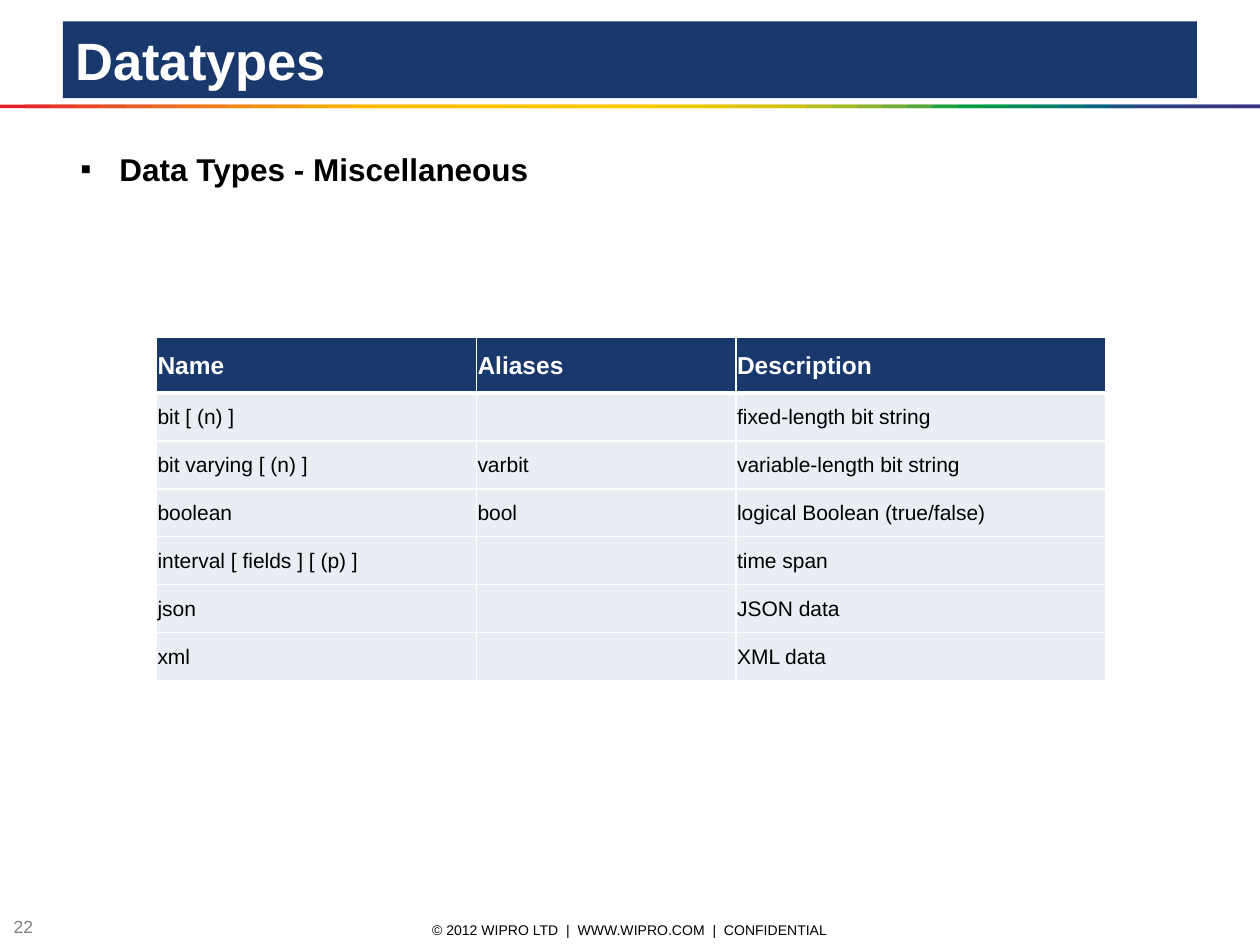
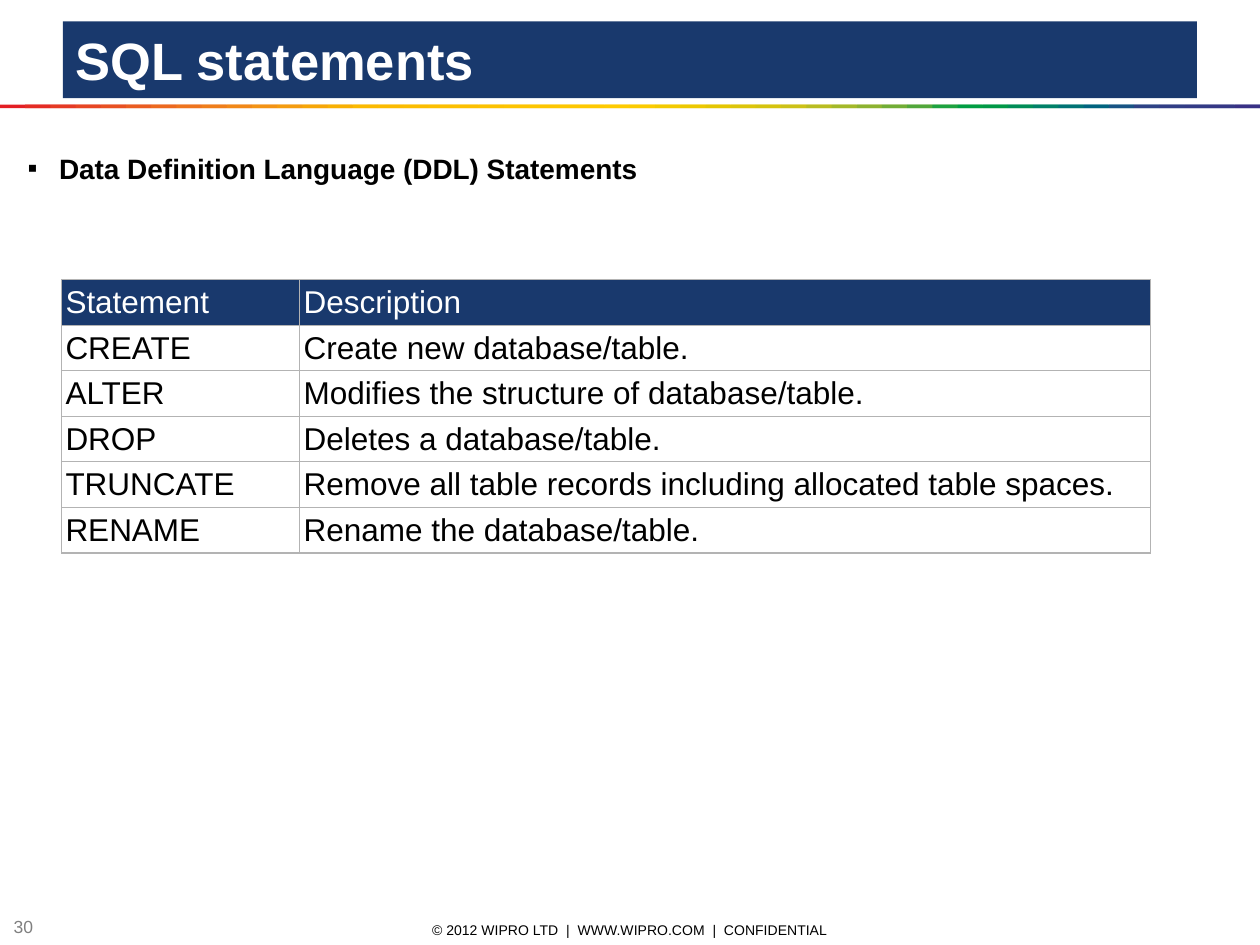
from dataclasses import dataclass

import pptx
import pptx.dml.color
import pptx.enum.shapes
import pptx.enum.text
import pptx.oxml
import pptx.oxml.ns
import pptx.util
from pptx.util import Inches

ANCHOR = pptx.enum.text.MSO_ANCHOR
ALIGN = pptx.enum.text.PP_ALIGN
RECT = pptx.enum.shapes.MSO_SHAPE.RECTANGLE


@dataclass(frozen=True)
class Theme:
    font: str = "Arial"
    navy: str = "19396D"
    white: str = "FFFFFF"
    black: str = "000000"
    grey: str = "808080"
    pale_blue: str = "E9EDF4"
    grid_grey: str = "B3B3B3"
    title_size: int = 30
    heading_size: int = 18
    subheading_size: int = 16
    number_size: int = 10
    footer_size: int = 8
    spectrum: tuple = tuple("""
        E31E24 E42C24 E53A24 E74623 E85122 EA5D21 EC691F EE741D EF7E1A F18817
        F39314 F49C0F F6A607 F8B002 FBBA00 FBBB00 FBBD00 FCBF00 FCC000 FCC200
        FDC400 FDC600 FDC700 FEC900 FECB00 FBCB00 F3CA00 ECC800 E4C602 DCC50A
        D5C30E CCC117 B8BC21 A3B829 8CB230 71AD36 51A73B 1DA240 009D43 009846
        008C57 008068 007275 00637F 185384 2E4285 313E85 333B85 353885 393185
        """.split())


FOOTER = "© 2012 WIPRO LTD  |  WWW.WIPRO.COM  |  CONFIDENTIAL"


def rgb(color):
    return pptx.dml.color.RGBColor.from_string(color)


def xml(markup):
    return pptx.oxml.parse_xml(markup.replace(" ", f" {pptx.oxml.ns.nsdecls('a')} ", 1))


def write(tf, text, *, font, size, color, bold=False, align=ALIGN.LEFT,
          anchor=ANCHOR.TOP, bullet_indent=None):
    """Fill a text frame with one formatted paragraph."""
    tf.word_wrap = True
    tf.vertical_anchor = anchor
    p = tf.paragraphs[0]
    p.alignment = align
    if bullet_indent:
        pPr = p._p.get_or_add_pPr()
        pPr.set("marL", str(bullet_indent))
        pPr.set("indent", str(-bullet_indent))
        pPr.append(xml(f'<a:buFont typeface="{font}"/>'))
        pPr.append(xml('<a:buChar char="▪"/>'))
    if text:
        r = p.add_run()
        r.text = text
        r.font.name, r.font.size, r.font.bold = font, pptx.util.Pt(size), bold
        r.font.color.rgb = rgb(color)


def set_borders(cell, color, widths):
    """Draw the left, right, top and bottom borders, with widths in points."""
    tcPr = cell._tc.get_or_add_tcPr()
    for i, (side, width) in enumerate(zip("LRTB", widths)):
        tcPr.insert(i, xml(
            f'<a:ln{side} w="{pptx.util.Pt(width)}"><a:solidFill>'
            f'<a:srgbClr val="{color}"/></a:solidFill></a:ln{side}>'))


class Deck:
    def __init__(self, theme):
        self.theme = theme
        self.prs = pptx.Presentation()
        self.prs.slide_width, self.prs.slide_height = Inches(10), Inches(7.5)
        self.s = None

    def add_slide(self, title, number):
        t = self.theme
        self.s = self.prs.slides.add_slide(self.prs.slide_layouts[6])
        self.text(FOOTER, 3.3, 7.28, 3.4, 0.2, size=t.footer_size,
                  align=ALIGN.CENTER, anchor=ANCHOR.MIDDLE)
        self.text(str(number), 0.01, 7.27, 0.39, 0.16, size=t.number_size,
                  color=t.grey, anchor=ANCHOR.MIDDLE)
        self.spectrum_line()
        band = self.rect(self.s.shapes, 0.5, 0.17, 9, 0.61, t.navy)
        write(band.text_frame, title, font=t.font, size=t.title_size,
              color=t.white, bold=True, anchor=ANCHOR.MIDDLE)

    def rect(self, shapes, x, y, w, h, fill):
        sp = shapes.add_shape(RECT, Inches(x), Inches(y), Inches(w), Inches(h))
        sp.shadow.inherit = False
        sp.fill.solid()
        sp.fill.fore_color.rgb = rgb(fill)
        sp.line.fill.background()
        return sp

    def spectrum_line(self):
        """Overlapping rectangles, so that no seam shows between the colours."""
        group = self.s.shapes.add_group_shape()
        step = 10 / len(self.theme.spectrum)
        for i, color in enumerate(self.theme.spectrum):
            x = i * step
            self.rect(group.shapes, x, 0.83, min(2 * step, 10 - x), 0.03, color)

    def text(self, text, x, y, w, h, *, color=None, **style):
        sp = self.s.shapes.add_textbox(Inches(x), Inches(y), Inches(w), Inches(h))
        write(sp.text_frame, text, font=self.theme.font,
              color=color or self.theme.black, **style)

    def bullet(self, text, x, y, w, h, *, size, indent):
        self.text(text, x, y, w, h, size=size, bold=True, bullet_indent=Inches(indent))

    def table(self, rows, x, y, col_widths, row_heights, *, size, header_size,
              header_bold, body_fill, border, border_width, header_rule, insets):
        """Table with a navy header; insets are left, top, right and bottom."""
        t = self.theme
        tbl = self.s.shapes.add_table(
            len(rows), len(col_widths), Inches(x), Inches(y),
            Inches(sum(col_widths)), Inches(sum(row_heights))).table
        tbl.horz_banding = False
        for col, width in zip(tbl.columns, col_widths):
            col.width = Inches(width)
        for i, (row, height) in enumerate(zip(rows, row_heights)):
            tbl.rows[i].height = Inches(height)
            header = i == 0
            top = header_rule if i == 1 else border_width
            bottom = header_rule if header else border_width
            for j, text in enumerate(row):
                cell = tbl.cell(i, j)
                (cell.margin_left, cell.margin_top, cell.margin_right,
                 cell.margin_bottom) = map(Inches, insets)
                cell.fill.solid()
                cell.fill.fore_color.rgb = rgb(t.navy if header else body_fill)
                set_borders(cell, border, (border_width, border_width, top, bottom))
                write(cell.text_frame, text, font=t.font,
                      size=header_size if header else size,
                      color=t.white if header else t.black,
                      bold=header and header_bold)
                cell.vertical_anchor = ANCHOR.MIDDLE


DATA_TYPES = [
    ("Name", "Aliases", "Description"),
    ("bit [ (n) ]", "", "fixed-length bit string"),
    ("bit varying [ (n) ]", "varbit", "variable-length bit string"),
    ("boolean", "bool", "logical Boolean (true/false)"),
    ("interval [ fields ] [ (p) ]", "", "time span"),
    ("json", "", "JSON data"),
    ("xml", "", "XML data"),
]
DDL_STATEMENTS = [
    ("Statement", "Description"),
    ("CREATE", "Create new database/table."),
    ("ALTER", "Modifies the structure of database/table."),
    ("DROP", "Deletes a database/table."),
    ("TRUNCATE", "Remove all table records including allocated table spaces."),
    ("RENAME", "Rename the database/table."),
]


def main():
    theme = Theme()
    deck = Deck(theme)

    deck.add_slide("Datatypes", 22)
    deck.bullet("Data Types - Miscellaneous", 0.54, 1.14, 8.97, 0.4,
                size=theme.heading_size, indent=0.31)
    deck.table(DATA_TYPES, 1.24, 2.68, (2.54, 2.06, 2.94), [0.44] + [0.38] * 6,
               size=12, header_size=14, header_bold=True,
               body_fill=theme.pale_blue, border=theme.white, border_width=1,
               header_rule=3, insets=(0.01, 0.01, 0.01, 0))

    deck.add_slide("SQL statements", 30)
    deck.bullet("Data Definition Language (DDL) Statements", 0.12, 1.15, 9.68, 6.01,
                size=theme.subheading_size, indent=0.25)
    deck.table(DDL_STATEMENTS, 0.49, 2.22, (1.89, 6.75), [2.17 / 6] * 6,
               size=18, header_size=18, header_bold=False,
               body_fill=theme.white, border=theme.grid_grey, border_width=0.75,
               header_rule=0.75, insets=(0.03,) * 4)

    deck.prs.save("out.pptx")


if __name__ == "__main__":
    main()
